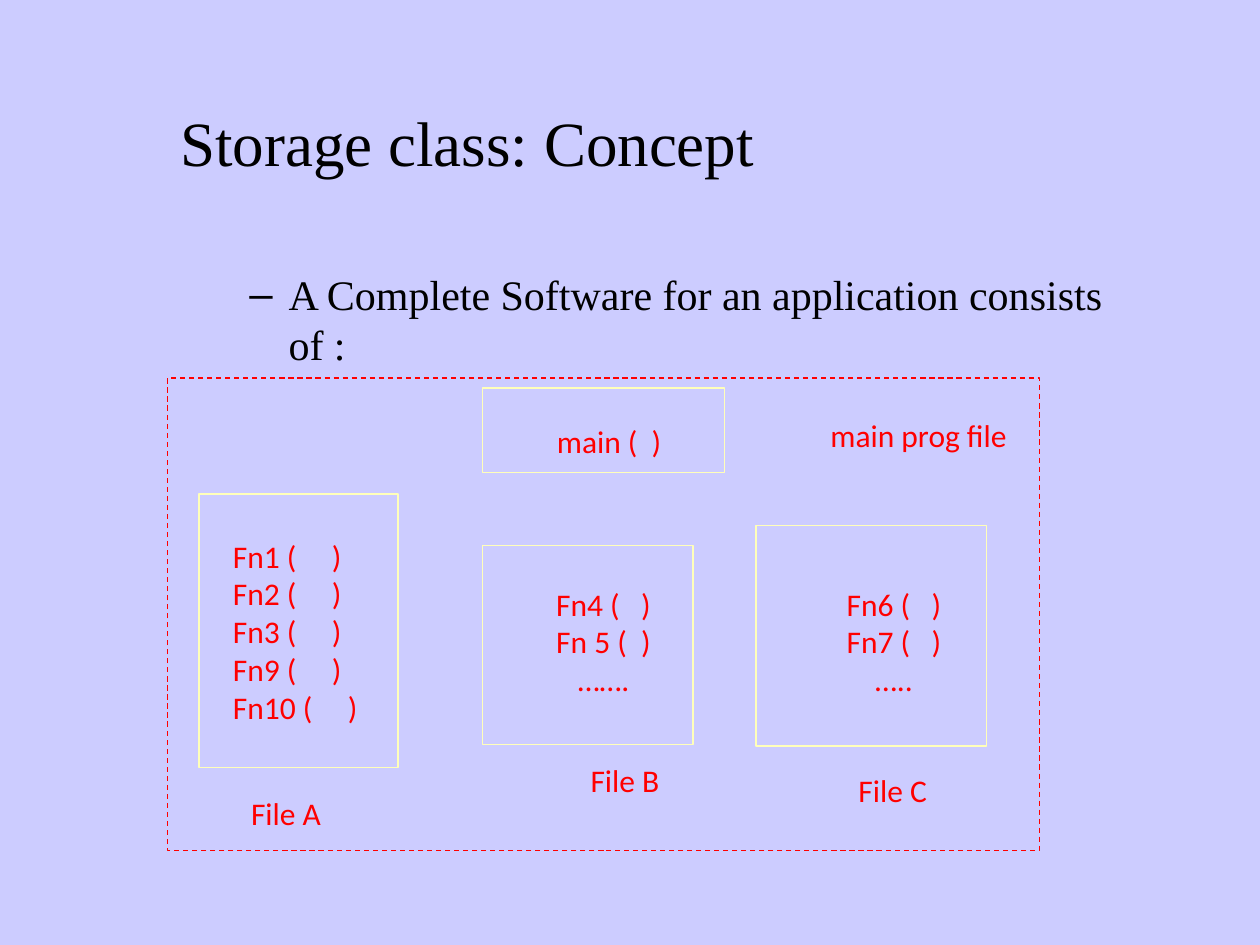
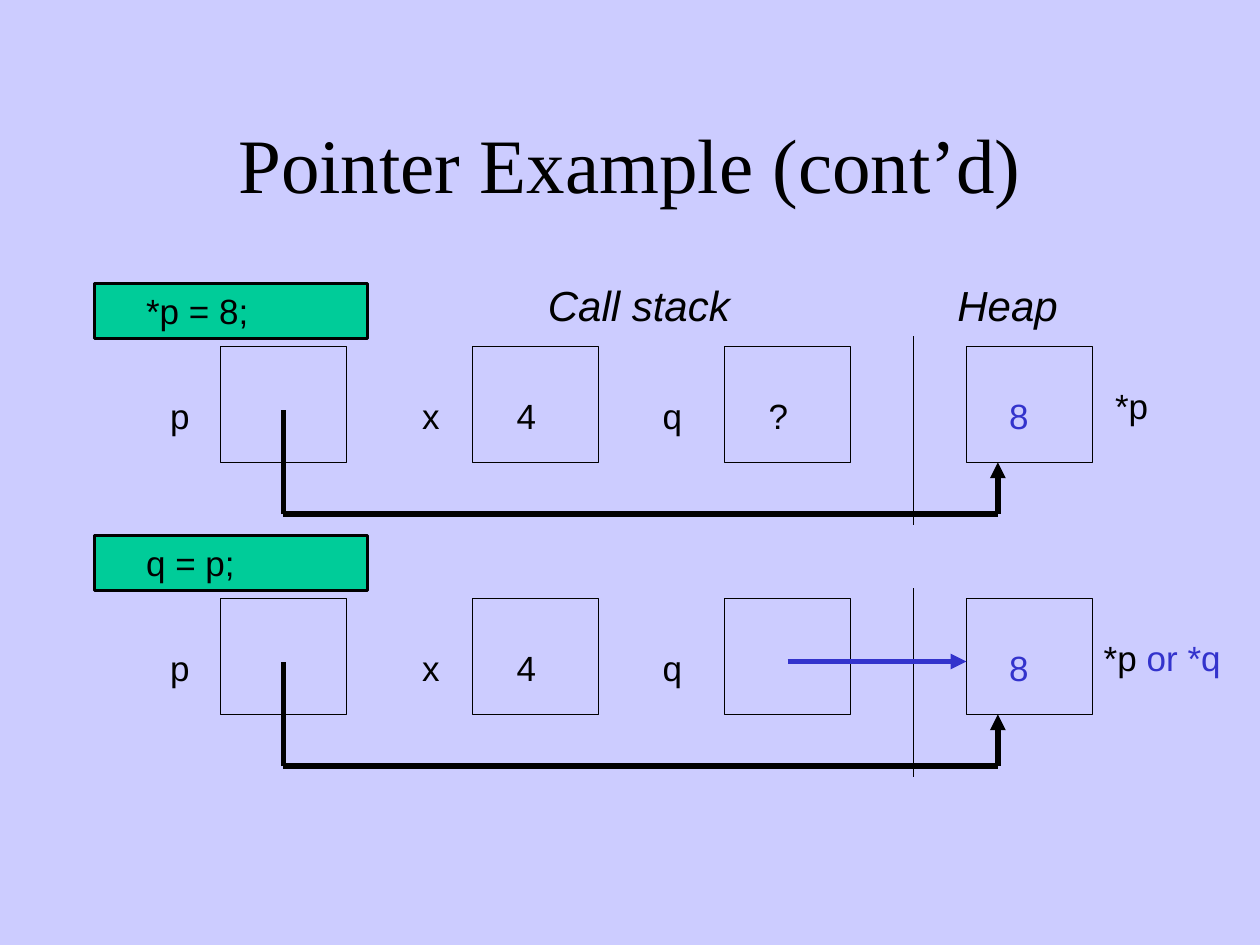
"""Build two slides: storage class files, and pointers between call stack and heap."""
from lxml import etree
from pptx import Presentation
from pptx.dml.color import RGBColor
from pptx.enum.dml import MSO_LINE
from pptx.enum.shapes import MSO_CONNECTOR, MSO_SHAPE
from pptx.enum.text import MSO_ANCHOR, MSO_AUTO_SIZE, PP_ALIGN
from pptx.oxml.ns import qn
from pptx.util import Inches, Pt

RECT, STRAIGHT = MSO_SHAPE.RECTANGLE, MSO_CONNECTOR.STRAIGHT
LEFT, CENTER = PP_ALIGN.LEFT, PP_ALIGN.CENTER
TOP, MIDDLE = MSO_ANCHOR.TOP, MSO_ANCHOR.MIDDLE
DASH, NO_FIT = MSO_LINE.DASH, MSO_AUTO_SIZE.NONE

LAVENDER, BLACK, RED = "CCCCFF", "000000", "FF0000"
CREAM, GREEN, BLUE = "FFFFB9", "00CC99", "3333CC"
SERIF = "Times New Roman"
FILE_FONT = {"size": Pt(18), "name": "Calibri"}
CODE_FONT = {"size": Pt(20), "name": "Arial"}
HEAD_FONT = {"size": Pt(24), "name": "Arial", "italic": True}

rgb = RGBColor.from_string


def add_box(s, at, line, width=0.75, fill=None):
    """Add an outlined rectangle, filled only if a fill is given."""
    sp = s.shapes.add_shape(RECT, *map(Inches, at))
    sp.shadow.inherit = False
    sp.line.color.rgb = rgb(line)
    sp.line.width = Pt(width)
    if fill:
        sp.fill.solid()
        sp.fill.fore_color.rgb = rgb(fill)
    else:
        sp.fill.background()
    return sp


def write(sp, lines, font, align=LEFT, anchor=TOP, margin=0.1, wrap=True):
    """Write lines, each a list of (text, colour) runs, into a shape."""
    tf = sp.text_frame
    frame = {"word_wrap": wrap, "auto_size": NO_FIT, "vertical_anchor": anchor,
             "margin_left": Inches(margin)}
    for name, value in frame.items():
        setattr(tf, name, value)
    for i, runs in enumerate(lines):
        p = tf.add_paragraph() if i else tf.paragraphs[0]
        p.alignment = align
        for text, color in runs:
            r = p.add_run()
            r.text = text
            r.font.color.rgb = rgb(color)
            for name, value in font.items():
                setattr(r.font, name, value)


prs = Presentation()
prs.slide_width, prs.slide_height = Inches(10), Inches(7.5)
background = prs.slide_master.background.fill
background.solid()
background.fore_color.rgb = rgb(LAVENDER)

slides = []
for layout, title, at, size in [
    (1, "Storage class: Concept", (1, 0.5, 5.42, 1.25), 36),
    (5, "Pointer Example (cont’d)", (0.75, 0.67, 8.5, 1.25), 44),
]:
    s = prs.slides.add_slide(prs.slide_layouts[layout])
    sp = s.shapes.title
    sp.left, sp.top, sp.width, sp.height = map(Inches, at)
    write(sp, [[(title, BLACK)]], {"size": Pt(size), "name": SERIF}, CENTER, MIDDLE)
    slides.append(s)
storage, pointers = slides

body = storage.placeholders[1]
body.left, body.top, body.width, body.height = map(Inches, (1.38, 2.08, 7.55, 4.83))
p = body.text_frame.paragraphs[0]
p.level = 1
p.space_before = Pt(0)
pPr = p._p.get_or_add_pPr()
pPr.set("marL", str(Inches(0.81)))
pPr.set("indent", str(Inches(-0.31)))
etree.SubElement(pPr, qn("a:buChar")).set("char", "–")
write(body, [[("A Complete Software for an application consists of :", BLACK)]],
      {"size": Pt(24), "name": SERIF})

for at in [(3.83, 4.33, 1.67, 1.58), (6, 4.17, 1.83, 1.75),
           (3.83, 3.08, 1.92, 0.67), (1.58, 3.92, 1.58, 2.17)]:
    add_box(storage, at, CREAM)
add_box(storage, (1.33, 3, 6.92, 3.75), RED).line.dash_style = DASH

for at, align, lines in [
    ((4.32, 3.3, 1.03, 0.4), CENTER, ["main (  )"]),
    ((6.25, 3.25, 2.08, 0.4), CENTER, ["main prog file"]),
    ((1.75, 4.21, 1.67, 1.6), LEFT,
     ["Fn1 (     )", "Fn2 (     )", "Fn3 (     )", "Fn9 (     )", "Fn10 (     )"]),
    ((1.75, 6.25, 1.04, 0.4), CENTER, ["File A"]),
    ((4.25, 4.59, 1.08, 1), CENTER, ["Fn4 (   )", "Fn 5 (  )", "……."]),
    ((4.5, 5.99, 0.92, 0.4), CENTER, ["File B"]),
    ((6.25, 4.59, 1.69, 1), CENTER, ["Fn6 (   )", "Fn7 (   )", "….."]),
    ((6.67, 6.07, 0.83, 0.4), CENTER, ["File C"]),
]:
    sp = storage.shapes.add_textbox(*map(Inches, at))
    write(sp, [[(line, RED)] for line in lines], FILE_FONT, align, MIDDLE,
          wrap=len(lines) > 1)

for heading, left, width in [("Call stack", 4.25, 1.83), ("Heap", 7.5, 1.17)]:
    sp = pointers.shapes.add_textbox(*map(Inches, (left, 2.17, width, 0.5)))
    write(sp, [[(heading, BLACK)]], HEAD_FONT)

links = []
for top, code, q_value, names in [
    (2.25, "*p = 8;", "?", (8.67, 0.67, [("*p", BLACK)])),
    (4.25, "q = p;", None, (8.58, 1.25, [("*p ", BLACK), ("or *q", BLUE)])),
]:
    sp = add_box(pointers, (0.75, top, 2.17, 0.44), BLACK, 1.75, GREEN)
    write(sp, [[(code, BLACK)]], CODE_FONT, margin=0.41)
    for left in (1.75, 3.75, 5.75, 7.67):
        add_box(pointers, (left, top + 0.5, 1, 0.92), BLACK)

    labels = [(1.17, 0.67, [("p", BLACK)]), (3.17, 0.83, [("x", BLACK)]),
              (5.08, 0.67, [("q", BLACK)]), (3.92, 0.67, [("4", BLACK)]),
              (7.83, 0.67, [("8", BLUE)])]
    if q_value:
        labels.append((5.92, 0.67, [(q_value, BLACK)]))
    placed = [(top + 0.83, label) for label in labels] + [(top + 0.75, names)]
    for y, (left, width, runs) in placed:
        sp = pointers.shapes.add_textbox(*map(Inches, (left, y, width, 0.44)))
        write(sp, [runs], CODE_FONT, margin=0.18)

    turn = top + 1.83
    links += [((7.25, top + 0.42, 7.25, top + 1.92), BLACK, 0.75, False),
              ((2.25, turn, 2.25, top + 1), BLACK, 3, False),
              ((7.92, turn, 2.25, turn), BLACK, 3, False),
              ((7.92, turn, 7.92, top + 1.42), BLACK, 3, True)]
links.append(((6.25, 5.25, 7.67, 5.25), BLUE, 3, True))

for ends, color, width, arrow in links:
    cx = pointers.shapes.add_connector(STRAIGHT, *map(Inches, ends))
    cx.line.color.rgb = rgb(color)
    cx.line.width = Pt(width)
    if arrow:
        etree.SubElement(cx.line._get_or_add_ln(), qn("a:tailEnd")).set("type", "triangle")
    etree.SubElement(cx._element.spPr, qn("a:effectLst"))

prs.save("out.pptx")
